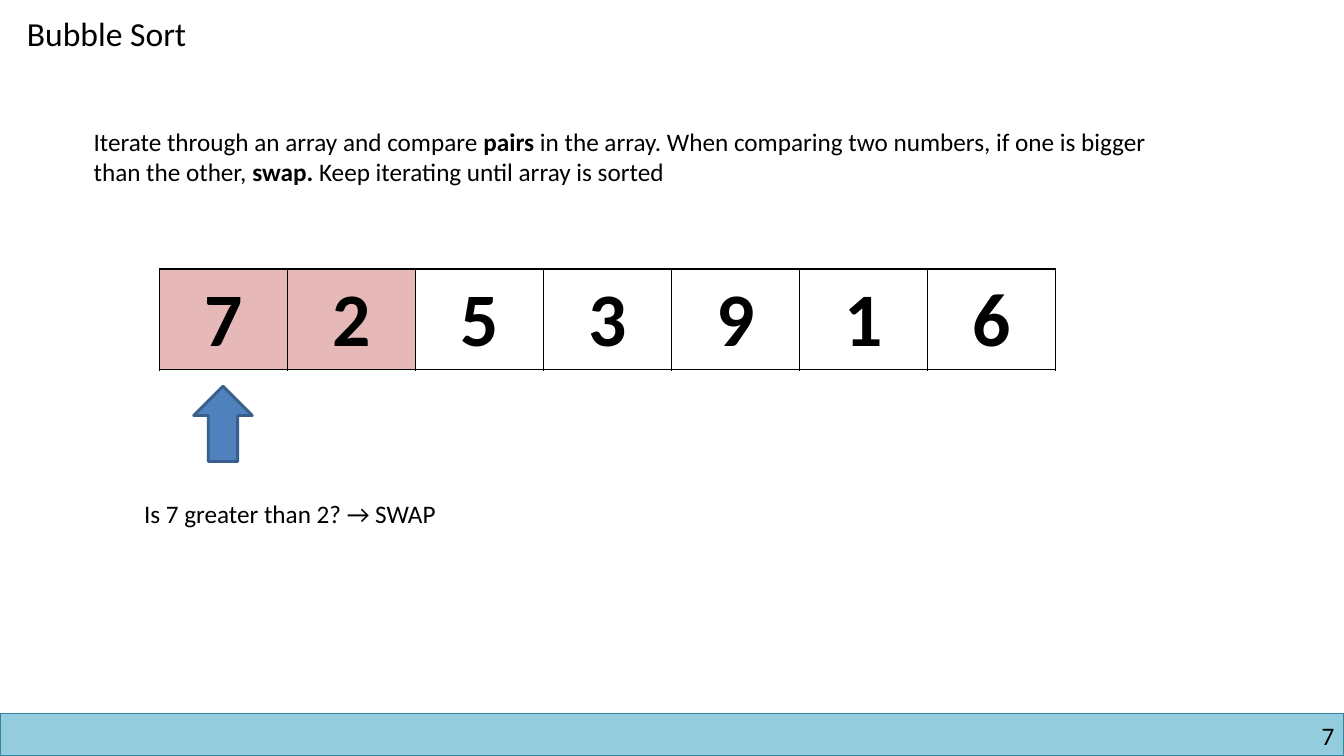
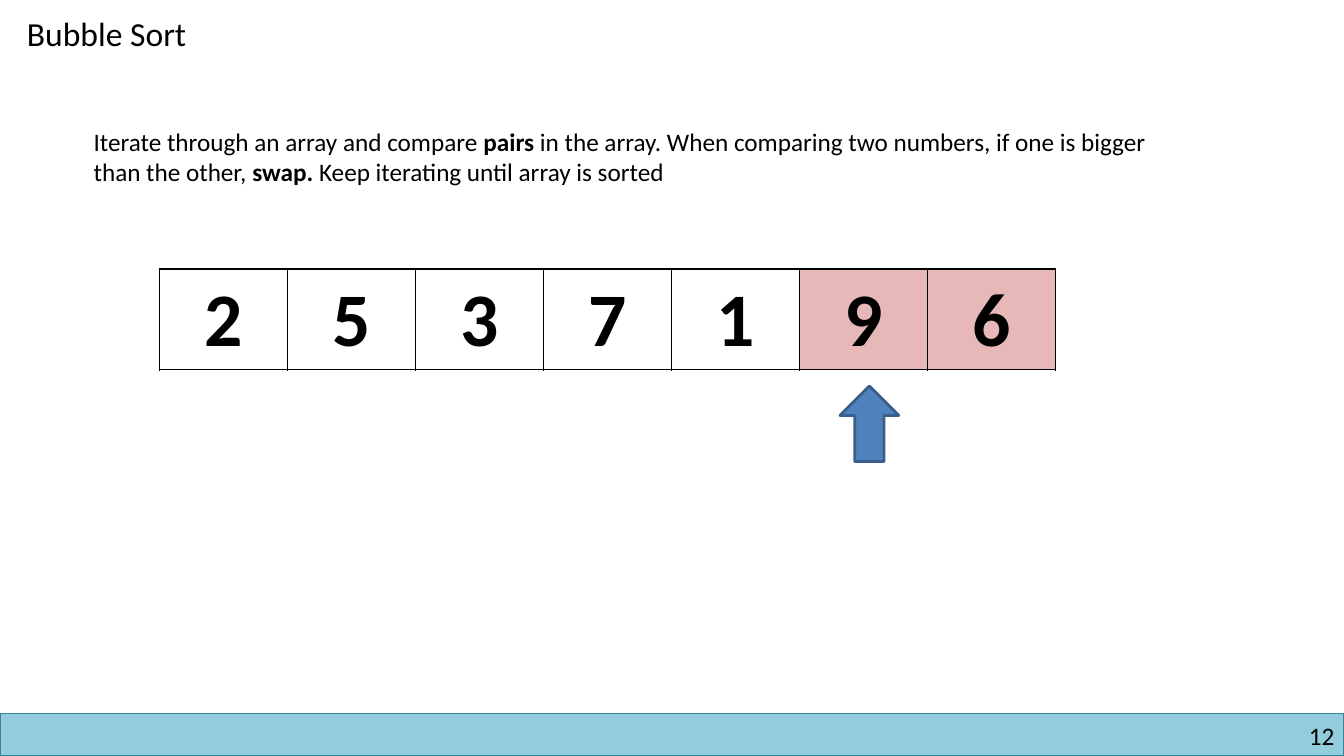
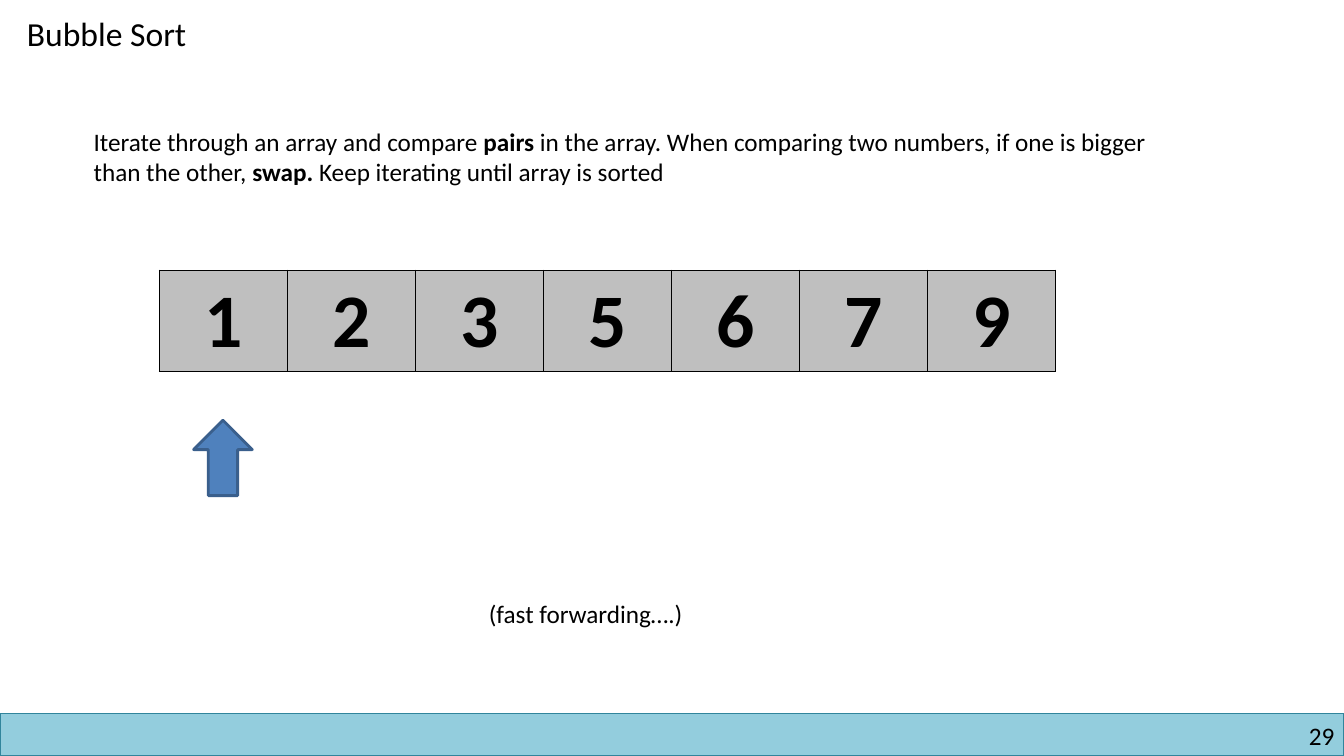
from lxml import etree
from pptx import Presentation
from pptx.dml.color import RGBColor
from pptx.enum.shapes import MSO_SHAPE
from pptx.enum.text import PP_ALIGN
from pptx.oxml.ns import qn
from pptx.util import Cm, Pt

RECTANGLE, UP_ARROW = MSO_SHAPE.RECTANGLE, MSO_SHAPE.UP_ARROW
LEFT, CENTER, RIGHT = PP_ALIGN.LEFT, PP_ALIGN.CENTER, PP_ALIGN.RIGHT

FONT = "Calibri"
COLORS = {
    "text": "000000",
    "band": "93CDDD",
    "band_line": "31859C",
    "arrow": "4F81BD",
    "arrow_line": "3A5F8C",
    "plain": "FFFFFF",
    "compared": "E6B9B8",
    "sorted": "BFBFBF",
}
PAGE_WIDTH, PAGE_HEIGHT = 33.87, 19.05
BAND_HEIGHT = 1.07
TABLE_WIDTH, ROW_HEIGHT = 22.58, 2.54

INTRO = [
    ("Iterate through an array and compare ", False),
    ("pairs", True),
    (" in the array. When comparing two numbers, if one is bigger than the other, ", False),
    ("swap. ", True),
    ("Keep iterating until array is sorted", False),
]


def color(name):
    return RGBColor.from_string(COLORS[name])


class SortDeck:
    """Holds the shared style and the current page."""

    def __init__(self):
        self.deck = Presentation()
        self.deck.slide_width = Cm(PAGE_WIDTH)
        self.deck.slide_height = Cm(PAGE_HEIGHT)
        self.page = None

    def style(self, span, size, bold=False):
        span.font.name = FONT
        span.font.size = Pt(size)
        span.font.bold = bold
        span.font.color.rgb = color("text")

    def start_page(self, number):
        """Add a page with its band, number, title and introduction."""
        self.page = self.deck.slides.add_slide(self.deck.slide_layouts[6])
        self.shape(RECTANGLE, 0, PAGE_HEIGHT - BAND_HEIGHT, PAGE_WIDTH, BAND_HEIGHT, "band", 1)
        self.text([(str(number), False)], 25.83, 18.16, 7.8, 0.76, align=RIGHT, inset=0)
        self.text([("Bubble Sort", False)], 0.43, 0.2, 4.98, 1.27, size=24)
        self.text(INTRO, 2.11, 3.05, 28.15, 1.8)

    def shape(self, kind, left, top, width, height, fill, weight):
        shape = self.page.shapes.add_shape(kind, Cm(left), Cm(top), Cm(width), Cm(height))
        shape.shadow.inherit = False
        shape.fill.solid()
        shape.fill.fore_color.rgb = color(fill)
        shape.line.color.rgb = color(fill + "_line")
        shape.line.width = Pt(weight)

    def text(self, parts, left, top, width, height, size=18, align=LEFT, inset=None):
        box = self.page.shapes.add_textbox(Cm(left), Cm(top), Cm(width), Cm(height))
        frame = box.text_frame
        frame.word_wrap = True
        if inset is not None:
            frame.margin_left = frame.margin_right = Cm(inset)
            frame.margin_top = frame.margin_bottom = Cm(inset)
        para = frame.paragraphs[0]
        para.alignment = align
        for words, bold in parts:
            span = para.add_run()
            span.text = words
            self.style(span, size, bold)

    def array(self, numbers, fills, top):
        """Draw the array as a table of one row."""
        table = self.page.shapes.add_table(
            1, len(numbers), Cm(4.02), Cm(top), Cm(TABLE_WIDTH), Cm(ROW_HEIGHT)).table
        table.first_row = table.horz_banding = False
        for column, cell, number, fill in zip(table.columns, table.iter_cells(), numbers, fills):
            column.width = Cm(TABLE_WIDTH / len(numbers))
            cell.fill.solid()
            cell.fill.fore_color.rgb = color(fill)
            cell.text_frame.text = str(number)
            para = cell.text_frame.paragraphs[0]
            para.alignment = CENTER
            self.style(para.runs[0], 54, bold=True)
            self.border(cell)

    def border(self, cell):
        properties = cell._tc.get_or_add_tcPr()
        # Border lines come before the fill
        for position, side in enumerate(("a:lnL", "a:lnR", "a:lnT", "a:lnB")):
            line = etree.Element(qn(side), w=str(Pt(1)))
            fill = etree.SubElement(line, qn("a:solidFill"))
            etree.SubElement(fill, qn("a:srgbClr"), val=COLORS["text"])
            properties.insert(position, line)

    def pointer(self, left, top):
        self.shape(UP_ARROW, left, top, 1.48, 1.9, "arrow", 2)


def main():
    show = SortDeck()

    # First comparison
    show.start_page(7)
    show.array([7, 2, 5, 3, 9, 1, 6], ["compared"] * 2 + ["plain"] * 5, 6.78)
    show.pointer(4.88, 9.73)
    show.text([("Is 7 greater than 2? → SWAP", False)], 3.38, 12.42, 8.94, 1.02)

    # Last comparison of the first pass
    show.start_page(12)
    show.array([2, 5, 3, 7, 1, 9, 6], ["plain"] * 5 + ["compared"] * 2, 6.78)
    show.pointer(21.17, 9.73)

    # Sorted array
    show.start_page(29)
    show.array([1, 2, 3, 5, 6, 7, 9], ["sorted"] * 7, 6.81)
    show.pointer(4.88, 10.59)
    show.text([("(fast forwarding….)", False)], 12.07, 14.96, 5.97, 1.02)

    show.deck.save("out.pptx")


if __name__ == "__main__":
    main()
